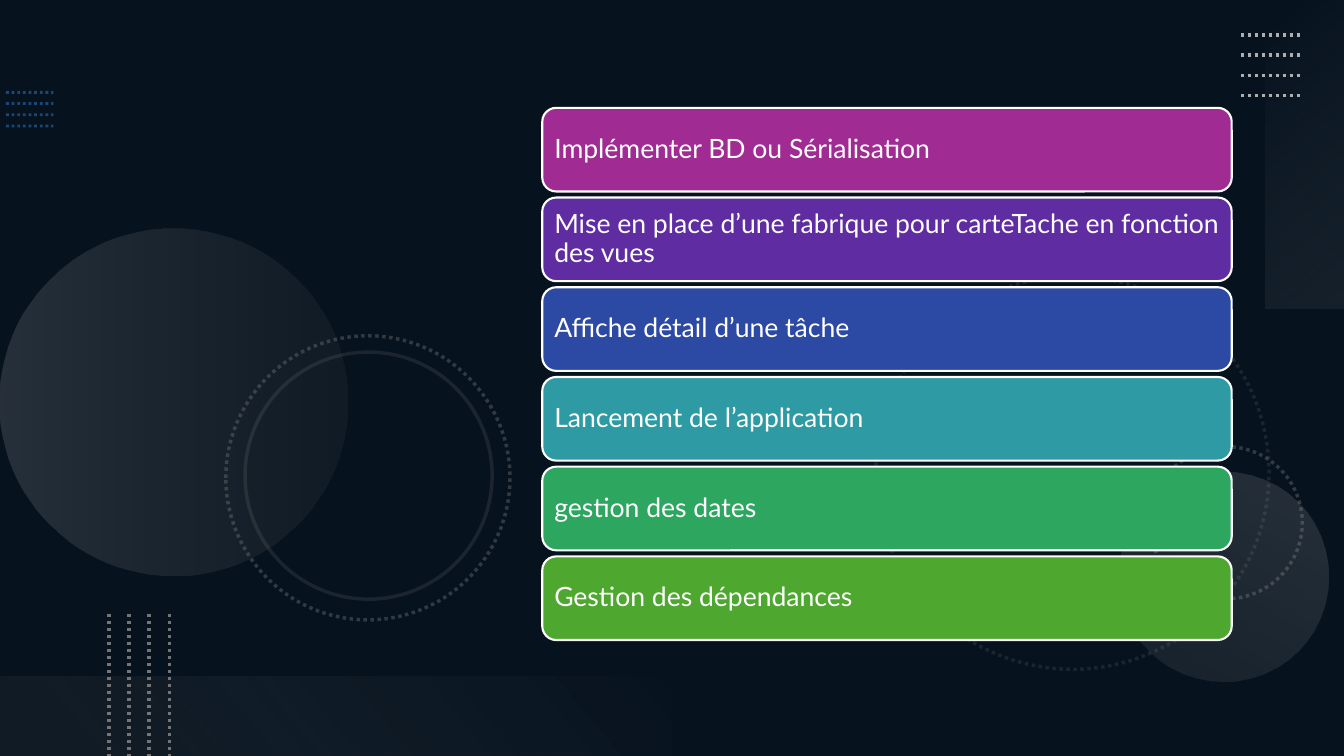
from lxml.etree import SubElement
from pptx import Presentation
from pptx.dml.color import RGBColor
from pptx.enum.dml import MSO_LINE
from pptx.enum.shapes import MSO_CONNECTOR, MSO_SHAPE
from pptx.enum.text import MSO_ANCHOR, PP_ALIGN
from pptx.oxml.ns import qn
from pptx.util import Pt

NIGHT = RGBColor(0x0E, 0x28, 0x41)
BLACK = RGBColor(0x00, 0x00, 0x00)
WHITE = RGBColor(0xFF, 0xFF, 0xFF)
BLUE = RGBColor(0x2D, 0x7F, 0xCF)
GREY = RGBColor(0x74, 0x74, 0x74)
SILVER = RGBColor(0xAE, 0xAE, 0xAE)
PALE = RGBColor(0xF6, 0xF6, 0xF6)
MIST = RGBColor(0xF1, 0xF1, 0xF1)

TASKS = [
    ("Implémenter BD ou Sérialisation", RGBColor(0xA0, 0x2B, 0x93)),
    ("Mise en place d’une fabrique pour carteTache en fonction des vues",
     RGBColor(0x5F, 0x2C, 0xA1)),
    ("Affiche détail d’une tâche", RGBColor(0x2C, 0x49, 0xA3)),
    ("Lancement de l’application", RGBColor(0x2D, 0x9A, 0xA4)),
    ("gestion des dates", RGBColor(0x2D, 0xA6, 0x5F)),
    ("Gestion des dépendances", RGBColor(0x4E, 0xA7, 0x2E)),
]
TASK_TOP, TASK_PITCH = 77.04, 64.08


def set_opacity(shape, percent):
    """Apply one opacity to every explicit colour of the shape."""
    for color in list(shape._element.spPr.iter(qn("a:srgbClr"))):
        SubElement(color, qn("a:alpha"), val=str(percent * 1000))


def add_plain_shape(slide, kind, left, top, width, height, rotation=0):
    shape = slide.shapes.add_shape(kind, Pt(left), Pt(top), Pt(width), Pt(height))
    shape.rotation = rotation
    shape.shadow.inherit = False
    shape.fill.background()
    shape.line.fill.background()
    return shape


def fill_gradient(shape, angle, stops):
    """Fill with (position, colour, opacity) stops, the angle running clockwise."""
    shape.fill.gradient()
    gradient = shape._element.spPr.find(qn("a:gradFill"))
    for child in list(gradient):
        gradient.remove(child)
    gradient.set("rotWithShape", "1")
    stop_list = SubElement(gradient, qn("a:gsLst"))
    for position, color, opacity in stops:
        stop = SubElement(stop_list, qn("a:gs"), pos=str(position * 1000))
        rgb = SubElement(stop, qn("a:srgbClr"), val=str(color))
        SubElement(rgb, qn("a:alpha"), val=str(opacity * 1000))
    SubElement(gradient, qn("a:lin"), ang=str(angle * 60000), scaled="0")


def add_ring(slide, left, top, diameter, opacity, dotted=True):
    ring = add_plain_shape(slide, MSO_SHAPE.OVAL, left, top, diameter, diameter)
    ring.line.color.rgb = GREY
    ring.line.width = Pt(2.5)
    if dotted:
        ring.line.dash_style = MSO_LINE.ROUND_DOT
    set_opacity(ring, opacity)


def add_disc(slide, left, top, diameter, rotation, stops):
    disc = add_plain_shape(slide, MSO_SHAPE.OVAL, left, top, diameter, diameter, rotation)
    fill_gradient(disc, 90, stops)


def add_band(slide, left, top, width, height, rotation, stops):
    band = add_plain_shape(slide, MSO_SHAPE.RECTANGLE, left, top, width, height, rotation)
    fill_gradient(band, 140, stops)


def add_dotted_lines(slide, start, end, step, color, width=2.5, opacity=100):
    """Draw four parallel dotted lines, each moved by step from the one before."""
    for i in range(4):
        dx, dy = step[0] * i, step[1] * i
        line = slide.shapes.add_connector(
            MSO_CONNECTOR.STRAIGHT, Pt(start[0] + dx), Pt(start[1] + dy),
            Pt(end[0] + dx), Pt(end[1] + dy))
        line.line.color.rgb = color
        line.line.width = Pt(width)
        line.line.dash_style = MSO_LINE.ROUND_DOT
        set_opacity(line, opacity)
        SubElement(line._element.spPr, qn("a:effectLst"))


def add_task(slide, top, label, color):
    task = add_plain_shape(slide, MSO_SHAPE.ROUNDED_RECTANGLE, 387.36, top, 492.48, 59.76)
    task.fill.solid()
    task.fill.fore_color.rgb = color
    task.line.color.rgb = WHITE
    task.line.width = Pt(1.5)
    frame = task.text_frame
    frame.text = label
    frame.word_wrap = True
    frame.vertical_anchor = MSO_ANCHOR.MIDDLE
    frame.margin_left = frame.margin_right = Pt(5.7)
    frame.margin_top = frame.margin_bottom = Pt(5.7)
    paragraph = frame.paragraphs[0]
    paragraph.alignment = PP_ALIGN.LEFT
    paragraph.line_spacing = 0.9
    font = paragraph.runs[0].font
    font.name = "Lato"
    font.size = Pt(19)
    font.color.rgb = WHITE


def add_decor(slide):
    veil = add_plain_shape(slide, MSO_SHAPE.RECTANGLE, 0, 0, 960, 540)
    veil.fill.solid()
    veil.fill.fore_color.rgb = BLACK
    set_opacity(veil, 53)

    add_dotted_lines(slide, (4.3, 66), (38.2, 66), (0, 8), BLUE, 2, 50)
    add_ring(slide, 625.7, 197.3, 280.8, 20)
    add_ring(slide, 821.5, 319, 108.7, 40)
    add_disc(slide, 0, 163, 248, 270, [(0, SILVER, 20), (100, GREY, 10)])
    add_disc(slide, 799.2, 336.5, 150, 210, [(0, SILVER, 10), (100, SILVER, 20)])
    add_ring(slide, 161.3, 239.8, 203, 40)
    add_ring(slide, 175, 251.5, 176.5, 20, dotted=False)
    add_band(slide, 822.2, 82.1, 220.3, 56.2, 270, [(0, PALE, 0), (100, SILVER, 10)])
    add_dotted_lines(slide, (886.3, 25), (929.5, 25), (0, 14.4), SILVER)
    add_band(slide, 0, 483.5, 480, 56.5, 180, [(10, GREY, 10), (100, MIST, 0)])
    add_dotted_lines(slide, (77.8, 438.5), (77.8, 540), (14.4, 0), GREY)


def main():
    deck = Presentation()
    deck.slide_width, deck.slide_height = Pt(960), Pt(540)
    slide = deck.slides.add_slide(deck.slide_layouts[6])
    slide.background.fill.solid()
    slide.background.fill.fore_color.rgb = NIGHT
    add_decor(slide)
    for i, (label, color) in enumerate(TASKS):
        add_task(slide, TASK_TOP + i * TASK_PITCH, label, color)
    deck.save("out.pptx")


if __name__ == "__main__":
    main()
